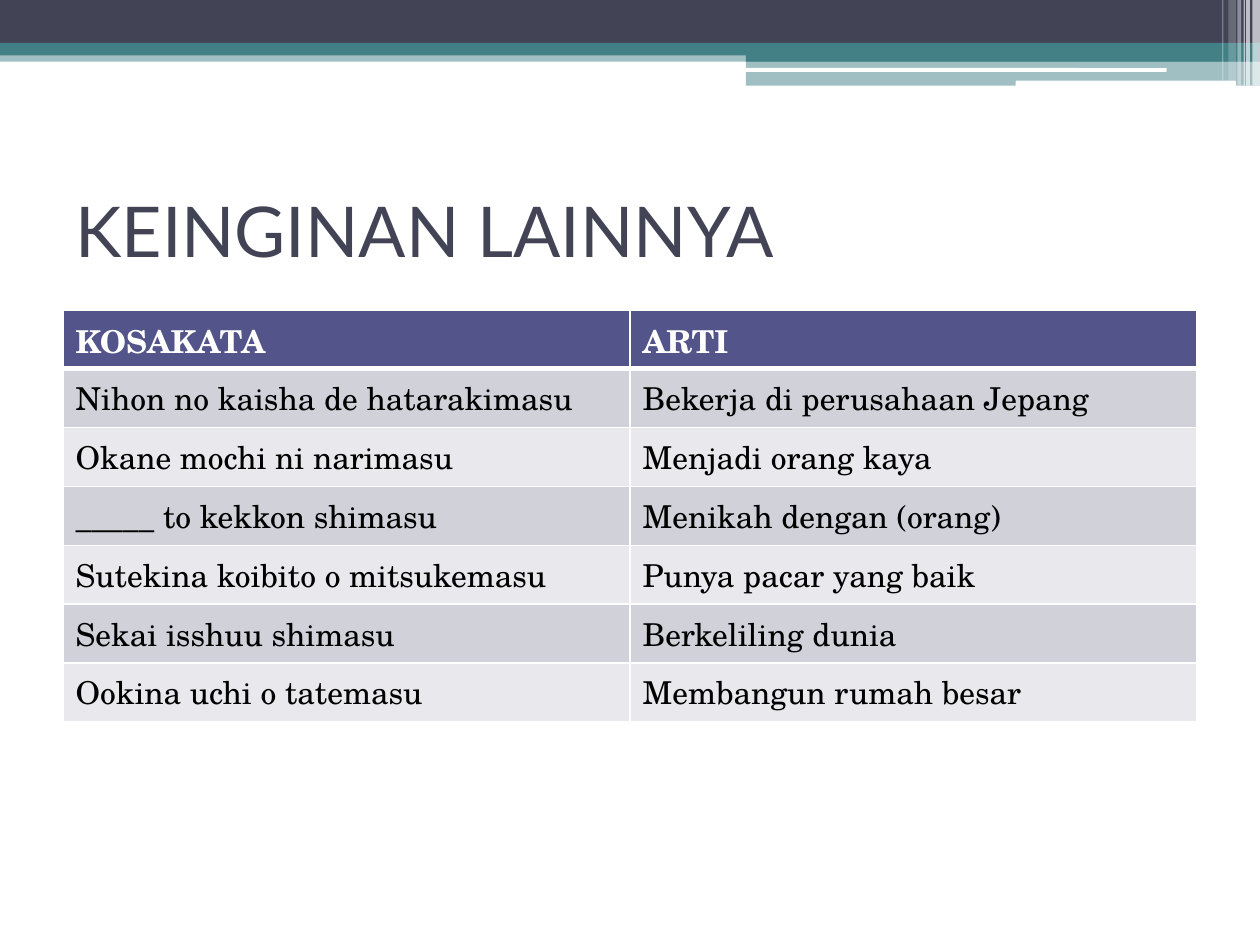
from typing import NamedTuple

from lxml import etree
from pptx import Presentation
from pptx import util as u
from pptx.dml.color import RGBColor
from pptx.enum import shapes, text
from pptx.oxml.ns import qn

WIDTH, HEIGHT = 10, 7.5
MARGIN = WIDTH / 20
TABLE_TOP, TABLE_HEIGHT = 2.46, 3.27
NAVY, TEAL, WHITE, BLACK = "424456", "438086", "FFFFFF", "000000"
HEADER_FILL, ROW_FILLS = "53548A", ("D1D1DA", "E9E9ED")
TITLE_FONT, TABLE_FONT = "Lato", "TeX Gyre Schola"
RECT = shapes.MSO_SHAPE.RECTANGLE
ROUNDED = shapes.MSO_SHAPE.ROUNDED_RECTANGLE


class Band(NamedTuple):
    left: float
    top: float
    width: float
    height: float
    color: str
    opacity: int = 100
    outline: shapes.MSO_SHAPE = RECT


class Stripe(NamedTuple):
    left: float
    width: float
    height: float
    opacity: int


BANDS = [
    Band(0, 0.4, WIDTH, 0.09, TEAL, 50),
    Band(0, 0, WIDTH, 0.34, NAVY),
    Band(0, 0.34, WIDTH, 0.1, TEAL),
    Band(5.92, 0.39, 4.08, 0.1, TEAL),
    Band(5.92, 0.48, 4.08, 0.2, TEAL, 50),
    Band(5.91, 0.54, 3.35, 0.03, WHITE, outline=ROUNDED),
    Band(8.06, 0.64, 1.75, 0.05, WHITE, outline=ROUNDED),
]
STRIPES = [
    Stripe(9.94, 0.06, 0.68, 65),
    Stripe(9.89, 0.03, 0.68, 65),
    Stripe(9.87, 0.01, 0.68, 60),
    Stripe(9.82, 0.03, 0.68, 40),
    Stripe(9.75, 0.06, 0.64, 20),
    Stripe(9.7, 0.01, 0.64, 30),
]
VOCABULARY = [
    ("KOSAKATA", "ARTI"),
    ("Nihon no kaisha de hatarakimasu", "Bekerja di perusahaan Jepang"),
    ("Okane mochi ni narimasu", "Menjadi orang kaya"),
    ("_____ to kekkon shimasu", "Menikah dengan (orang)"),
    ("Sutekina koibito o mitsukemasu", "Punya pacar yang baik"),
    ("Sekai isshuu shimasu", "Berkeliling dunia"),
    ("Ookina uchi o tatemasu", "Membangun rumah besar"),
]


def paint(fill, color: str) -> None:
    fill.solid()
    fill.fore_color.rgb = RGBColor.from_string(color)


def style(font, name: str, size: float, color: str, bold: bool = False) -> None:
    font.name, font.size, font.bold = name, u.Pt(size), bold
    font.color.rgb = RGBColor.from_string(color)


def draw_band(page, band: Band) -> None:
    shape = page.shapes.add_shape(
        band.outline, *map(u.Inches, (band.left, band.top, band.width, band.height)))
    shape.shadow.inherit = False
    shape.line.fill.background()
    paint(shape.fill, band.color)
    if band.opacity < 100:
        color = shape.element.spPr.find(".//" + qn("a:srgbClr"))
        etree.SubElement(color, qn("a:alpha"), val=str(band.opacity * 1000))


def draw_title(page, wording: str) -> None:
    box = page.shapes.add_textbox(
        *map(u.Inches, (MARGIN, 1.24, WIDTH - 2 * MARGIN, 1.17)))
    frame = box.text_frame
    frame.word_wrap = True
    frame.vertical_anchor = text.MSO_ANCHOR.MIDDLE
    frame.text = wording
    style(frame.paragraphs[0].font, TITLE_FONT, 40, NAVY)


def set_borders(cell, top: float, bottom: float) -> None:
    """Draw white cell borders; call before filling, as lines precede the fill."""
    properties = cell._tc.get_or_add_tcPr()
    for side, points in (("L", 1), ("R", 1), ("T", top), ("B", bottom)):
        line = etree.SubElement(properties, qn(f"a:ln{side}"), w=str(u.Pt(points)))
        solid = etree.SubElement(line, qn("a:solidFill"))
        etree.SubElement(solid, qn("a:srgbClr"), val=WHITE)


def draw_table(page, rows: list[tuple[str, str]]) -> None:
    frame = page.shapes.add_table(
        len(rows), len(rows[0]),
        *map(u.Inches, (MARGIN, TABLE_TOP, WIDTH - 2 * MARGIN, TABLE_HEIGHT)))
    for row, wordings in enumerate(rows):
        header = row == 0
        for column, wording in enumerate(wordings):
            cell = frame.table.cell(row, column)
            set_borders(cell, 3 if row == 1 else 1, 3 if header else 1)
            paint(cell.fill, HEADER_FILL if header else ROW_FILLS[(row - 1) % 2])
            cell.text = wording
            style(cell.text_frame.paragraphs[0].font, TABLE_FONT, 18,
                  WHITE if header else BLACK, header)


def main() -> None:
    deck = Presentation()
    deck.slide_width, deck.slide_height = u.Inches(WIDTH), u.Inches(HEIGHT)
    page = deck.slides.add_slide(deck.slide_layouts[6])
    paint(page.background.fill, WHITE)
    for band in BANDS:
        draw_band(page, band)
    for stripe in STRIPES:
        draw_band(page, Band(stripe.left, 0, stripe.width, stripe.height,
                             WHITE, stripe.opacity))
    draw_title(page, "KEINGINAN LAINNYA")
    draw_table(page, VOCABULARY)
    deck.save("out.pptx")


if __name__ == "__main__":
    main()
